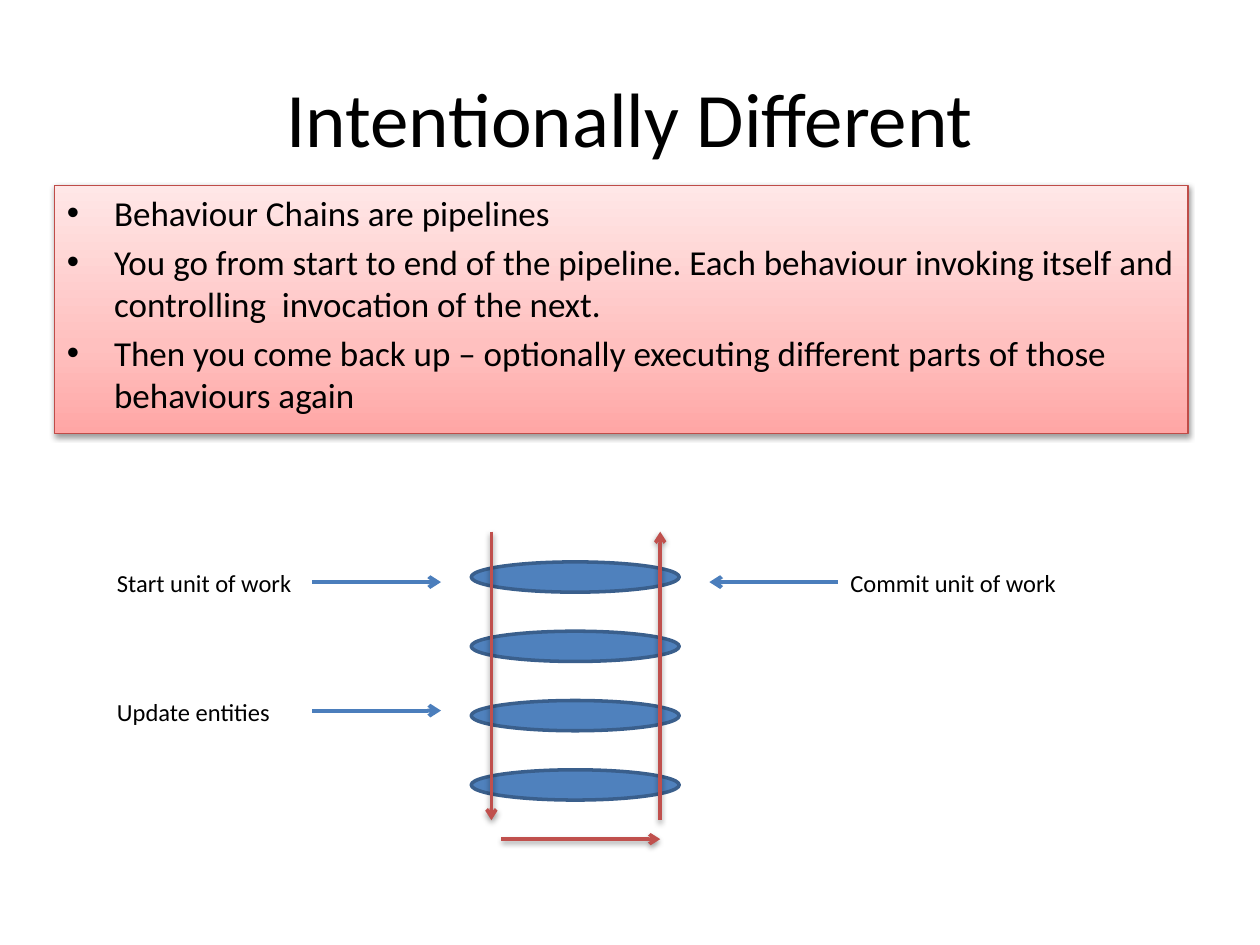
import copy

import pptx
import pptx.dml.color
import pptx.enum.shapes
import pptx.enum.text
import pptx.oxml
import pptx.oxml.ns
import pptx.util
from pptx.dml.color import RGBColor
from pptx.util import Inches

BLACK = RGBColor(0x00, 0x00, 0x00)
ELLIPSE_FILL = RGBColor(0x4F, 0x81, 0xBD)
ELLIPSE_LINE = RGBColor(0x3A, 0x5F, 0x8C)
BLUE_ARROW = RGBColor(0x4B, 0x7E, 0xBC)
RED_ARROW = RGBColor(0xC0, 0x50, 0x4D)
PANEL_LINE = RGBColor(0xBF, 0x4C, 0x48)
PANEL_GRADIENT = [
    (0, RGBColor(0xFF, 0xA6, 0xA5)),
    (35, RGBColor(0xFF, 0xC0, 0xBF)),
    (100, RGBColor(0xFF, 0xE7, 0xE7)),
]
FONT = "Calibri"
NAMESPACE = pptx.oxml.ns.nsdecls("a")
SHADOW = (
    '<a:outerShdw blurRad="40000" dist="20000" dir="5400000" rotWithShape="0">'
    '<a:srgbClr val="000000"><a:alpha val="38000"/></a:srgbClr></a:outerShdw>'
)

BULLETS = [
    "Behaviour Chains are pipelines",
    "You go from start to end of the pipeline. Each behaviour invoking itself "
    "and controlling  invocation of the next.",
    "Then you come back up – optionally executing different parts of those "
    "behaviours again",
]


def place(shape, left, top, width, height):
    shape.left, shape.top = Inches(left), Inches(top)
    shape.width, shape.height = Inches(width), Inches(height)


def format_font(paragraph, size):
    paragraph.font.name = FONT
    paragraph.font.size = pptx.util.Pt(size)
    paragraph.font.color.rgb = BLACK


def set_effects(shape, effects=""):
    """Give the shape exactly these effects; none by default."""
    shape._element.spPr.append(
        pptx.oxml.parse_xml(f"<a:effectLst {NAMESPACE}>{effects}</a:effectLst>")
    )


def fill_gradient(shape, stops):
    """Fill upwards from the bottom edge with (percent, colour) stops."""
    shape.fill.gradient()
    shape.fill.gradient_angle = 90
    stop_list = shape._element.spPr.find(".//" + pptx.oxml.ns.qn("a:gsLst"))
    while len(stop_list) < len(stops):
        stop_list.append(copy.deepcopy(stop_list[-1]))
    for stop, (percent, color) in zip(shape.fill.gradient_stops, stops):
        stop.position = percent / 100
        stop.color.rgb = color


def format_title(title, text):
    place(title, 0.5, 0.3, 9, 1.25)
    title.text_frame.text = text
    title.text_frame.vertical_anchor = pptx.enum.text.MSO_ANCHOR.MIDDLE
    paragraph = title.text_frame.paragraphs[0]
    paragraph.alignment = pptx.enum.text.PP_ALIGN.CENTER
    format_font(paragraph, 44)


def format_bullet_panel(panel, bullets):
    place(panel, 0.43, 1.47, 9, 1.97)
    fill_gradient(panel, PANEL_GRADIENT)
    panel.line.color.rgb = PANEL_LINE
    panel.line.width = pptx.util.Pt(0.75)
    set_effects(panel, SHADOW)
    panel.text_frame.text = "\n".join(bullets)
    panel.text_frame.auto_size = pptx.enum.text.MSO_AUTO_SIZE.NONE
    for paragraph in panel.text_frame.paragraphs:
        format_font(paragraph, 20)


def add_behaviour(slide, top):
    ellipse = slide.shapes.add_shape(
        pptx.enum.shapes.MSO_SHAPE.OVAL,
        Inches(3.74), Inches(top), Inches(1.65), Inches(0.24),
    )
    ellipse.shadow.inherit = False
    ellipse.fill.solid()
    ellipse.fill.fore_color.rgb = ELLIPSE_FILL
    ellipse.line.color.rgb = ELLIPSE_LINE
    ellipse.line.width = pptx.util.Pt(2)


def add_arrow(slide, start, end, color, width, effects=""):
    arrow = slide.shapes.add_connector(
        pptx.enum.shapes.MSO_CONNECTOR.STRAIGHT,
        *(Inches(value) for value in start + end),
    )
    arrow.line.color.rgb = color
    arrow.line.width = pptx.util.Pt(width)
    arrow.line._get_or_add_ln().append(
        pptx.oxml.parse_xml(f'<a:tailEnd {NAMESPACE} type="arrow"/>')
    )
    set_effects(arrow, effects)


def add_flow_arrow(slide, start, end):
    add_arrow(slide, start, end, RED_ARROW, 2, SHADOW)


def add_step(slide, text, text_left, top, arrow_from, arrow_to):
    """Add a label and the arrow that points from it to the pipeline."""
    arrow_y = top + 0.16
    add_arrow(slide, (arrow_from, arrow_y), (arrow_to, arrow_y), BLUE_ARROW, 2.25)
    label = slide.shapes.add_textbox(
        Inches(text_left), Inches(top), Inches(2.44), Inches(0.64)
    )
    label.text_frame.word_wrap = True
    label.text_frame.text = text
    format_font(label.text_frame.paragraphs[0], 14)


def main():
    presentation = pptx.Presentation()
    presentation.slide_width = Inches(10)
    presentation.slide_height = Inches(7.5)
    title_and_content = presentation.slide_layouts[1]
    slide = presentation.slides.add_slide(title_and_content)

    format_title(slide.shapes.title, "Intentionally Different")
    format_bullet_panel(slide.placeholders[1], BULLETS)

    for index in range(4):
        add_behaviour(slide, 4.46 + 0.55 * index)

    add_flow_arrow(slide, (3.9, 4.22), (3.9, 6.51))
    add_flow_arrow(slide, (5.24, 6.51), (5.24, 4.22))

    add_step(slide, "Start unit of work", 0.83, 4.46, 2.48, 3.5)
    add_step(slide, "Commit unit of work", 6.65, 4.46, 6.65, 5.63)
    add_step(slide, "Update entities", 0.83, 5.48, 2.48, 3.5)

    add_flow_arrow(slide, (3.98, 6.66), (5.24, 6.66))

    presentation.save("out.pptx")


if __name__ == "__main__":
    main()
